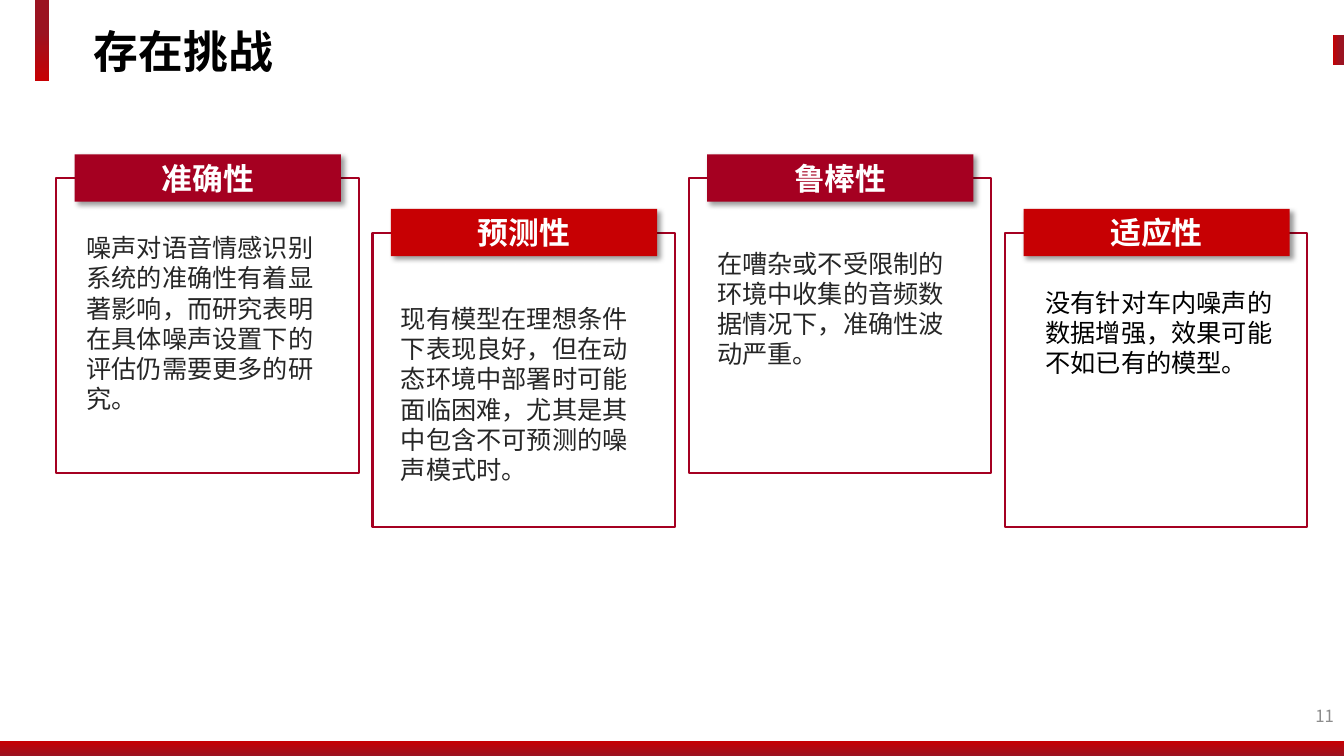
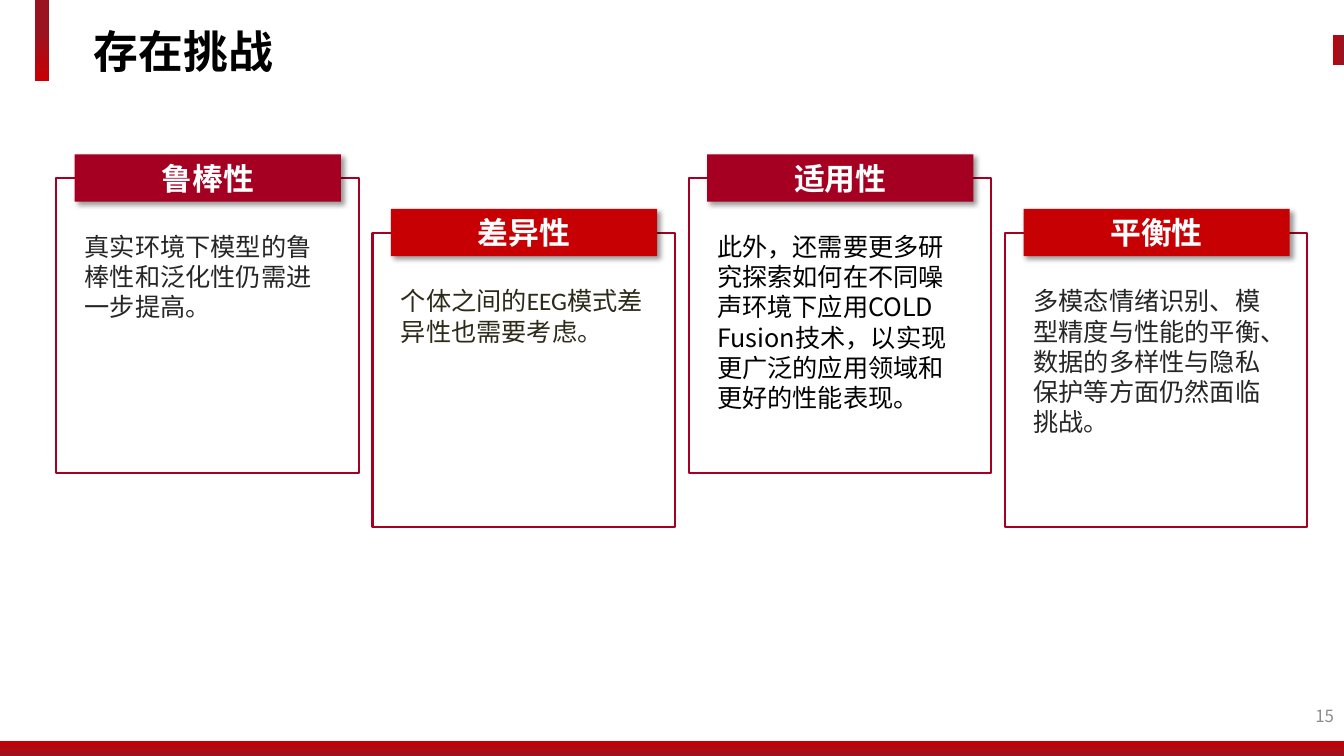
"""Build two slides of challenges, each with four staggered cards."""
from lxml import etree
from pptx import Presentation
from pptx.dml.color import RGBColor
from pptx.enum import shapes, text
from pptx.oxml import ns
from pptx.util import Pt

COLORS = {
    "dark": "9B1321", "red": "C70003", "crimson": "A50021", "white": "FFFFFF",
    "black": "000000", "body": "262626", "olive": "2D2A19", "grey": "8C8C8C",
}
CJK_FONT = "Noto Sans CJK SC"
SLIDE_WIDTH, SLIDE_HEIGHT = 960, 540
TITLE = "存在挑战"

BANDS = [
    {"box": (952, 25.2, 8, 21.6), "start": 39, "angle": 180},
    {"box": (25, 0, 10, 58), "start": 39, "angle": 270},
    {"box": (0, 529.2, SLIDE_WIDTH, 10.8), "start": 0, "angle": 90},
]

SLIDES = [
    {"number": "11", "cards": [
        {"heading": "准确性", "font": "Arial", "color": "body", "shift": (1.4, 1),
         "body": "噪声对语音情感识别系统的准确性有着显著影响，而研究表明在具体噪声设置下的评估仍需要更多的研究。"},
        {"heading": "预测性", "font": "Calibri", "color": "body", "shift": (0, 12.5),
         "body": "现有模型在理想条件下表现良好，但在动态环境中部署时可能面临困难，尤其是其中包含不可预测的噪声模式时。"},
        {"heading": "鲁棒性", "font": "Arial", "color": "body", "shift": (0, 12),
         "body": "在嘈杂或不受限制的环境中收集的音频数据情况下，准确性波动严重。"},
        {"heading": "适应性", "font": "Arial", "color": "black", "shift": (8.6, 1),
         "body": "没有针对车内噪声的数据增强，效果可能不如已有的模型。"},
    ]},
    {"number": "15", "cards": [
        {"heading": "鲁棒性", "font": CJK_FONT, "color": "body",
         "body": "真实环境下模型的鲁棒性和泛化性仍需进一步提高。"},
        {"heading": "差异性", "font": "Calibri", "color": "olive",
         "body": "个体之间的EEG模式差异性也需要考虑。"},
        {"heading": "适用性", "font": CJK_FONT, "color": "black",
         "body": "此外，还需要更多研究探索如何在不同噪声环境下应用COLD Fusion技术，以实现更广泛的应用领域和更好的性能表现。"},
        {"heading": "平衡性", "font": CJK_FONT, "color": "body",
         "body": "多模态情绪识别、模型精度与性能的平衡、数据的多样性与隐私保护等方面仍然面临挑战。"},
    ]},
]

CARD_LEFT, CARD_STEP, CARD_WIDTH, CARD_HEIGHT = 40.2, 225.9, 216, 210.2
CARD_TOPS = (127.4, 166.4)
HEADING_COLORS = ("crimson", "red")
HEADING_INSET, HEADING_RISE = 13.2, 17.2
HEADING_WIDTH, HEADING_HEIGHT = 190.1, 33.8
BODY_DROP, BODY_HEIGHT, BODY_LINE = 34.2, 138, 21.6


def rgb(name):
    return RGBColor.from_string(COLORS[name])


def write(shape, content, size, color, font=CJK_FONT, bold=False,
          align=text.PP_ALIGN.LEFT, anchor=text.MSO_ANCHOR.TOP, line=None):
    frame = shape.text_frame
    frame.word_wrap = True
    frame.vertical_anchor = anchor
    paragraph = frame.paragraphs[0]
    paragraph.alignment = align
    if line:
        paragraph.line_spacing = Pt(line)
    run = paragraph.add_run()
    run.text = content
    run.font.size = Pt(size)
    run.font.bold = bold
    run.font.color.rgb = rgb(color)
    run.font.name = font
    properties = run.font._rPr
    properties.set("lang", "zh-CN")
    etree.SubElement(properties, ns.qn("a:ea"), typeface=CJK_FONT)


def add_text(slide, box, *args, **options):
    write(slide.shapes.add_textbox(*map(Pt, box)), *args, **options)


def add_rectangle(slide, box):
    shape = slide.shapes.add_shape(shapes.MSO_SHAPE.RECTANGLE, *map(Pt, box))
    shape.shadow.inherit = False
    shape.line.fill.background()
    return shape


def add_shadow(shape):
    effects = shape._element.spPr.find(ns.qn("a:effectLst"))
    shadow = etree.SubElement(
        effects, ns.qn("a:outerShdw"), blurRad=str(Pt(4)), dist=str(Pt(3)),
        dir=str(45 * 60000), algn="tl", rotWithShape="0")
    color = etree.SubElement(shadow, ns.qn("a:srgbClr"), val=COLORS["black"])
    etree.SubElement(color, ns.qn("a:alpha"), val="40000")


def add_frame(slide, number):
    for band in BANDS:
        fill = add_rectangle(slide, band["box"]).fill
        fill.gradient()
        fill.gradient_angle = band["angle"]
        stops = zip(fill.gradient_stops, ("dark", "red"), (band["start"], 100))
        for stop, color, position in stops:
            stop.color.rgb = rgb(color)
            stop.position = position / 100
    add_text(slide, (60, 13.7, 409, 44.6), TITLE, 32, "black", bold=True,
             anchor=text.MSO_ANCHOR.MIDDLE)
    add_text(slide, (744, 500.4, 216, 28.8), number, 12, "grey",
             align=text.PP_ALIGN.RIGHT)


def add_card(slide, index, card):
    left = CARD_LEFT + index * CARD_STEP
    top = CARD_TOPS[index % 2]
    outline = add_rectangle(slide, (left, top, CARD_WIDTH, CARD_HEIGHT))
    outline.fill.background()
    outline.line.color.rgb = rgb("crimson")
    outline.line.width = Pt(1.5)

    inner_left = left + HEADING_INSET
    shift_x, shift_y = card.get("shift", (0, 0))
    add_text(slide, (inner_left + shift_x, top + BODY_DROP + shift_y,
                     HEADING_WIDTH, BODY_HEIGHT),
             card["body"], 18, card["color"], card["font"], line=BODY_LINE)

    heading = add_rectangle(
        slide, (inner_left, top - HEADING_RISE, HEADING_WIDTH, HEADING_HEIGHT))
    heading.fill.solid()
    heading.fill.fore_color.rgb = rgb(HEADING_COLORS[index % 2])
    add_shadow(heading)
    write(heading, card["heading"], 22, "white", "Calibri", bold=True,
          align=text.PP_ALIGN.CENTER, anchor=text.MSO_ANCHOR.MIDDLE)


def main():
    presentation = Presentation()
    presentation.slide_width = Pt(SLIDE_WIDTH)
    presentation.slide_height = Pt(SLIDE_HEIGHT)
    for content in SLIDES:
        slide = presentation.slides.add_slide(presentation.slide_layouts[6])
        add_frame(slide, content["number"])
        for index, card in enumerate(content["cards"]):
            add_card(slide, index, card)
    presentation.save("out.pptx")


if __name__ == "__main__":
    main()
